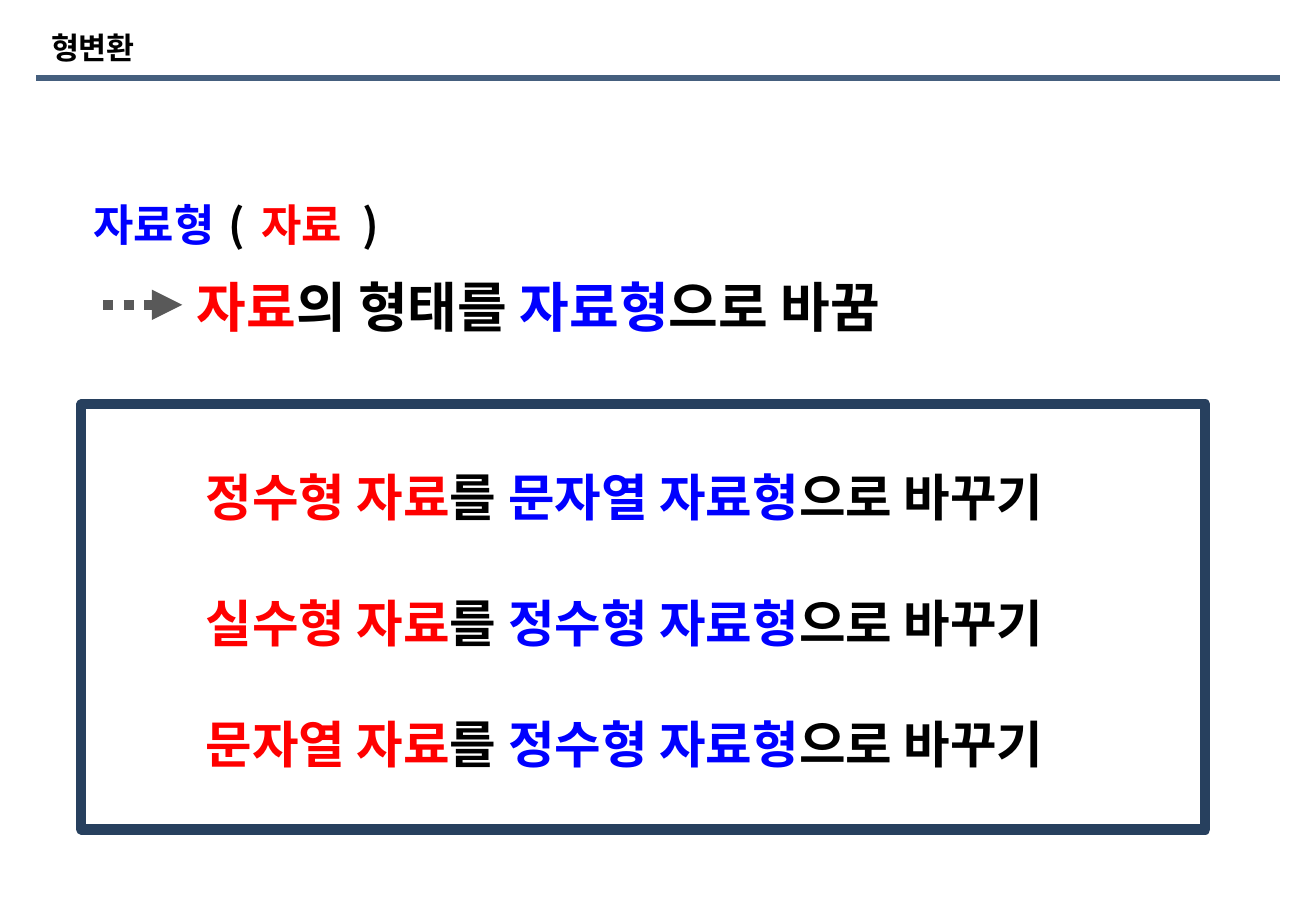
from pptx import Presentation
from pptx.dml.color import RGBColor
from pptx.enum import dml, shapes, text
from pptx.oxml.ns import qn
from pptx.util import Inches, Pt
from lxml import etree

COLORS = {"black": "000000", "red": "FF0000", "blue": "0000FF",
          "rule": "455F7E", "arrow": "595959", "frame": "27405E"}
KOREAN_FONT = "Noto Sans CJK KR"

TITLE = [("형변환", "black")]
# (text, colour, optional letter spacing in points)
SYNTAX = [("자료형", "blue"), (" ( ", "black", 2), ("자료", "red"), (" )", "black", 6)]
MEANING = [("자료", "red"), ("의 형태를 ", "black"),
           ("자료형", "blue"), ("으로 바꿈", "black")]
CONVERSIONS = [  # (source type, target type, top)
    ("정수형", "문자열", 3.79),
    ("실수형", "정수형", 4.82),
    ("문자열", "정수형", 5.82),
]


def color(name):
    return RGBColor.from_string(COLORS[name])


def write_runs(shape, runs, size, font_name, align=text.PP_ALIGN.LEFT):
    frame = shape.text_frame
    frame.word_wrap = True
    frame.vertical_anchor = text.MSO_ANCHOR.MIDDLE
    paragraph = frame.paragraphs[0]
    paragraph.alignment = align
    for content, color_name, *spacing in runs:
        run = paragraph.add_run()
        run.text = content
        run.font.size = Pt(size)
        run.font.bold = True
        run.font.color.rgb = color(color_name)
        run.font.name = font_name
        properties = run.font._element
        etree.SubElement(properties, qn("a:ea"), typeface=KOREAN_FONT)
        if spacing:
            properties.set("spc", str(spacing[0] * 100))


def add_text(slide, box, *args, **kwargs):
    shape = slide.shapes.add_textbox(*map(Inches, box))
    write_runs(shape, *args, **kwargs)


def add_line(slide, start, end, color_name, width):
    line = slide.shapes.add_connector(
        shapes.MSO_CONNECTOR.STRAIGHT, *map(Inches, start + end))
    line.line.color.rgb = color(color_name)
    line.line.width = Pt(width)
    etree.SubElement(line._element.spPr, qn("a:effectLst"))
    return line


def main():
    presentation = Presentation()
    presentation.slide_width = Inches(10.83)
    presentation.slide_height = Inches(7.5)
    slide = presentation.slides.add_slide(presentation.slide_layouts[5])

    title = slide.shapes.title
    title.left, title.top, title.width, title.height = map(
        Inches, (0.32, 0.19, 5.67, 0.4))
    write_runs(title, TITLE, 18, "Arial")
    add_line(slide, (0.3, 0.64), (10.53, 0.64), "rule", 3.6)

    add_text(slide, (0.67, 1.57, 4.75, 0.54), SYNTAX, 26, KOREAN_FONT)
    arrow = add_line(slide, (0.85, 2.51), (1.5, 2.51), "arrow", 6)
    arrow.line.dash_style = dml.MSO_LINE.ROUND_DOT
    etree.SubElement(arrow.line._get_or_add_ln(), qn("a:tailEnd"), type="triangle")
    add_text(slide, (1.52, 2.2, 7.5, 0.63), MEANING, 32, "Arial")

    for source, target, top in CONVERSIONS:
        runs = [(f"{source} 자료", "red"), ("를 ", "black"),
                (f"{target} 자료형", "blue"), ("으로 바꾸기", "black")]
        add_text(slide, (0.86, top, 8.56, 0.6), runs, 30, KOREAN_FONT,
                 align=text.PP_ALIGN.CENTER)

    frame = slide.shapes.add_shape(
        shapes.MSO_SHAPE.RECTANGLE, *map(Inches, (0.67, 3.33, 9.25, 3.5)))
    frame.shadow.inherit = False
    frame.fill.background()
    frame.line.color.rgb = color("frame")
    frame.line.width = Pt(6)

    presentation.save("out.pptx")


if __name__ == "__main__":
    main()
